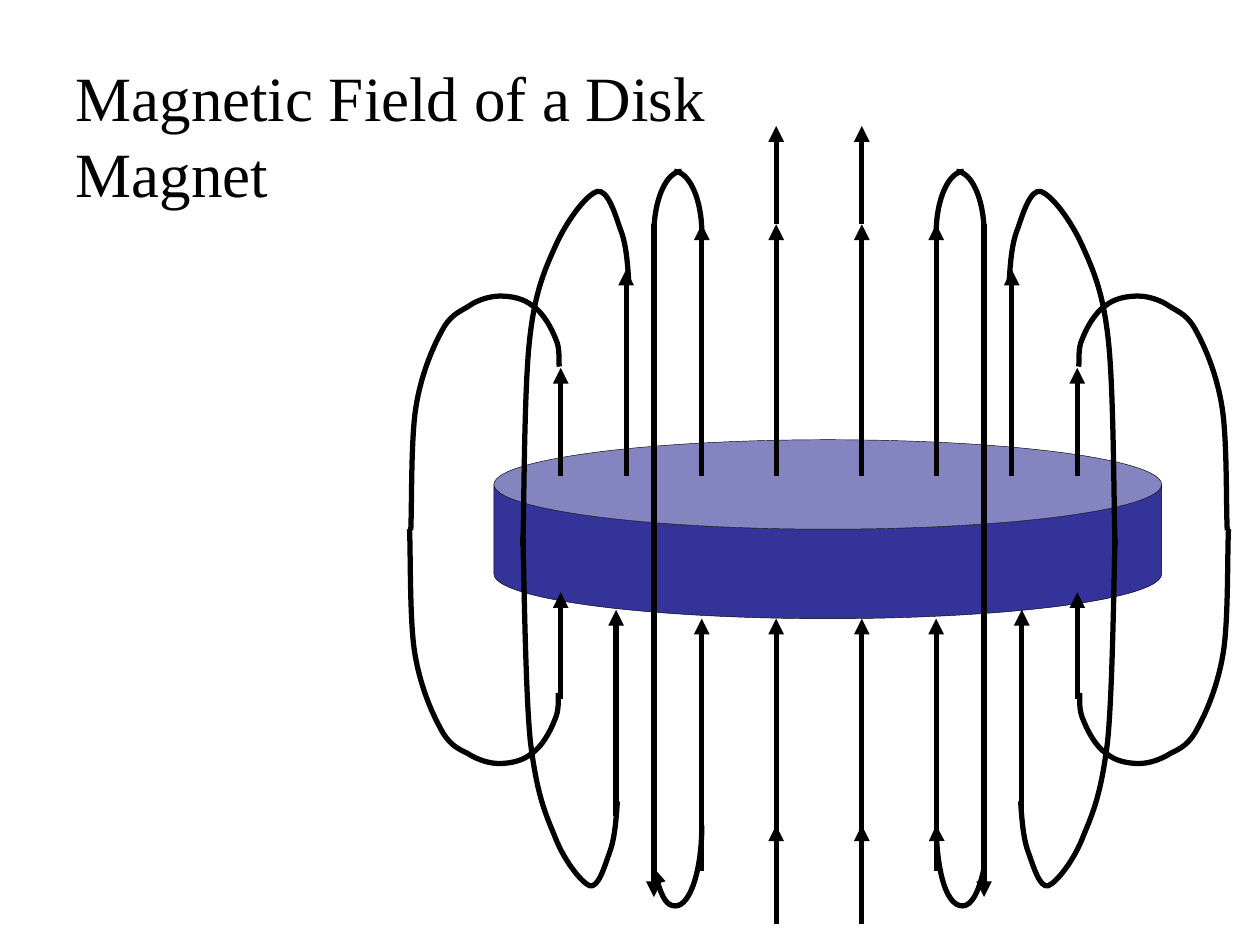
import pptx
import pptx.util
import pptx.dml.color
import pptx.enum.shapes
import pptx.enum.text
import pptx.oxml
import pptx.oxml.ns
from dataclasses import dataclass

Cm, Pt = pptx.util.Cm, pptx.util.Pt
RGB = pptx.dml.color.RGBColor
BLACK = RGB(0x00, 0x00, 0x00)
BLUE = RGB(0x33, 0x33, 0x99)
FONT = "Times New Roman"
AXIS = 6.5  # the field is symmetric about this upright line
NS = pptx.oxml.ns.nsdecls("a")


@dataclass
class Ray:
    """Upright arrow at x, pointing from start to tip."""
    x: float
    start: float
    tip: float


@dataclass
class Loop:
    """Bezier chain: a start point, then three points for each section."""
    points: list[tuple[float, float]]
    left: str = ""   # arrow end on the left side
    right: str = ""  # arrow end on the right side


RAYS = [
    Ray(6.16, 7.33, 6.55), Ray(6.16, 6.91, 4.91),
    Ray(6.16, 3.78, 1.78), Ray(6.16, 1.78, 1),
    Ray(5.57, 6.91, 4.91), Ray(5.57, 3.78, 1.78),
    Ray(5.19, 1.78, 7.12),
    Ray(4.97, 3.78, 2.14), Ray(4.89, 6.48, 4.84),
    Ray(4.45, 3.78, 2.92), Ray(4.45, 5.55, 4.7),
]

LOOPS = [
    # Outer, upper and lower
    Loop([(4.44, 2.91), (4.43, 2.88), (4.45, 2.77), (4.41, 2.69),
          (4.38, 2.61), (4.31, 2.48), (4.23, 2.43),
          (4.16, 2.37), (4.06, 2.35), (3.97, 2.35),
          (3.89, 2.35), (3.79, 2.38), (3.72, 2.43),
          (3.64, 2.48), (3.57, 2.5), (3.5, 2.64),
          (3.43, 2.77), (3.34, 2.98), (3.3, 3.24),
          (3.26, 3.5), (3.27, 4.01), (3.26, 4.21)]),
    Loop([(4.43, 5.5), (4.43, 5.54), (4.44, 5.64), (4.4, 5.72),
          (4.37, 5.8), (4.3, 5.93), (4.22, 5.98),
          (4.15, 6.04), (4.05, 6.06), (3.96, 6.06),
          (3.88, 6.06), (3.79, 6.03), (3.71, 5.98),
          (3.63, 5.94), (3.56, 5.91), (3.49, 5.77),
          (3.42, 5.64), (3.33, 5.43), (3.29, 5.17),
          (3.25, 4.91), (3.26, 4.4), (3.25, 4.2)]),
    # Middle, upper and lower
    Loop([(4.99, 2.23), (4.98, 2.08), (4.97, 1.93), (4.92, 1.81),
          (4.88, 1.69), (4.82, 1.5), (4.74, 1.52),
          (4.65, 1.55), (4.5, 1.75), (4.41, 1.95),
          (4.32, 2.15), (4.24, 2.33), (4.2, 2.73),
          (4.16, 3.13), (4.16, 4), (4.15, 4.33)]),
    Loop([(4.9, 6.36), (4.89, 6.5), (4.88, 6.65), (4.84, 6.76),
          (4.8, 6.87), (4.75, 7.05), (4.68, 7.03),
          (4.61, 7), (4.47, 6.82), (4.4, 6.63),
          (4.32, 6.44), (4.26, 6.29), (4.21, 5.89),
          (4.17, 5.5), (4.16, 4.61), (4.15, 4.27)]),
    # Inner: two upper quarter arcs and the lower bend
    Loop([(5.35, 1.36), (5.47, 1.36), (5.57, 1.58), (5.57, 1.85)]),
    Loop([(5.41, 1.36), (5.29, 1.36), (5.19, 1.58), (5.19, 1.85)]),
    Loop([(5.19, 6.89), (5.23, 7.08), (5.29, 7.19), (5.36, 7.19),
          (5.48, 7.19), (5.57, 6.9), (5.57, 6.55)],
         left="headEnd", right="tailEnd"),
]


def inch(num: float) -> int:
    return Cm(num * 2.54)


def flip(x: float, right: bool) -> float:
    """Mirror x about the axis for the right side."""
    return 2 * AXIS - x if right else x


def ink(shape, end: str = "") -> None:
    """Black 3 pt line, with a triangle at the given end."""
    shape.line.color.rgb = BLACK
    shape.line.width = Pt(3)
    if end:
        shape._element.spPr.find(pptx.oxml.ns.qn("a:ln")).append(
            pptx.oxml.parse_xml(f'<a:{end} {NS} type="triangle"/>'))


def bend(shape) -> None:
    """Turn each three straight pieces of the outline into one Bezier."""
    qn = pptx.oxml.ns.qn
    cuts = list(shape._element.iter(qn("a:lnTo")))
    for i in range(0, len(cuts), 3):
        cubic = pptx.oxml.parse_xml(f"<a:cubicBezTo {NS}/>")
        cuts[i].addprevious(cubic)
        for cut in cuts[i:i + 3]:
            cubic.append(cut.find(qn("a:pt")))
            cut.getparent().remove(cut)


def draw_ray(group, ray: Ray, right: bool) -> None:
    x = inch(flip(ray.x, right))
    line = group.shapes.add_connector(
        pptx.enum.shapes.MSO_CONNECTOR.STRAIGHT,
        x, inch(ray.start), x, inch(ray.tip))
    ink(line, "tailEnd")
    line._element.spPr.append(pptx.oxml.parse_xml(f"<a:effectLst {NS}/>"))


def draw_loop(group, loop: Loop, right: bool) -> None:
    pts = [(inch(flip(x, right)), inch(y)) for x, y in loop.points]
    pen = group.shapes.build_freeform(*pts[0])
    pen.add_line_segments(pts[1:], close=False)
    curve = pen.convert_to_shape()
    bend(curve)
    curve.shadow.inherit = False
    curve.fill.background()
    ink(curve, loop.right if right else loop.left)


def draw_disk(group) -> None:
    disk = group.shapes.add_shape(
        pptx.enum.shapes.MSO_SHAPE.CAN,
        inch(3.92), inch(3.49), inch(5.3), inch(1.42))
    disk.adjustments[0] = 0.5
    disk.shadow.inherit = False
    disk.fill.solid()
    disk.fill.fore_color.rgb = BLUE
    disk.line.color.rgb = BLACK
    disk.line.width = Pt(0.25)


def set_title(title) -> None:
    title.left, title.top = inch(0.5), inch(0.415)
    title.width, title.height = inch(5.42), inch(1.3)
    frame = title.text_frame
    frame.text = "Magnetic Field of a Disk Magnet"
    frame.word_wrap = True
    frame.auto_size = pptx.enum.text.MSO_AUTO_SIZE.SHAPE_TO_FIT_TEXT
    frame.vertical_anchor = pptx.enum.text.MSO_ANCHOR.TOP
    para = frame.paragraphs[0]
    para.alignment = pptx.enum.text.PP_ALIGN.LEFT
    para.font.name = FONT
    para.font.size = Pt(36)
    para.font.color.rgb = BLACK


def main() -> None:
    deck = pptx.Presentation()
    deck.slide_width, deck.slide_height = inch(10), inch(7.5)
    slide = deck.slides.add_slide(deck.slide_layouts[5])
    set_title(slide.shapes.title)
    field = slide.shapes.add_group_shape()
    draw_disk(field)
    for right in (False, True):
        for ray in RAYS:
            draw_ray(field, ray, right)
        for loop in LOOPS:
            draw_loop(field, loop, right)
    deck.save("out.pptx")


if __name__ == "__main__":
    main()
